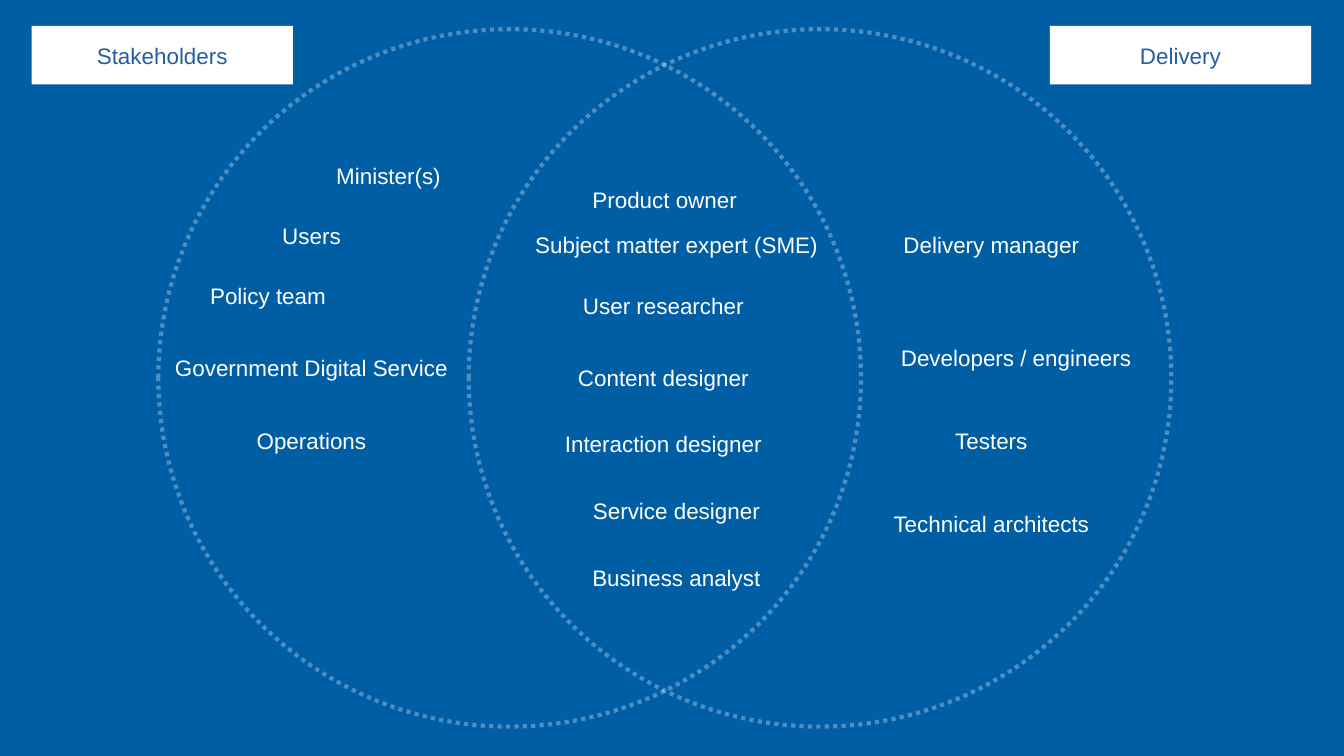
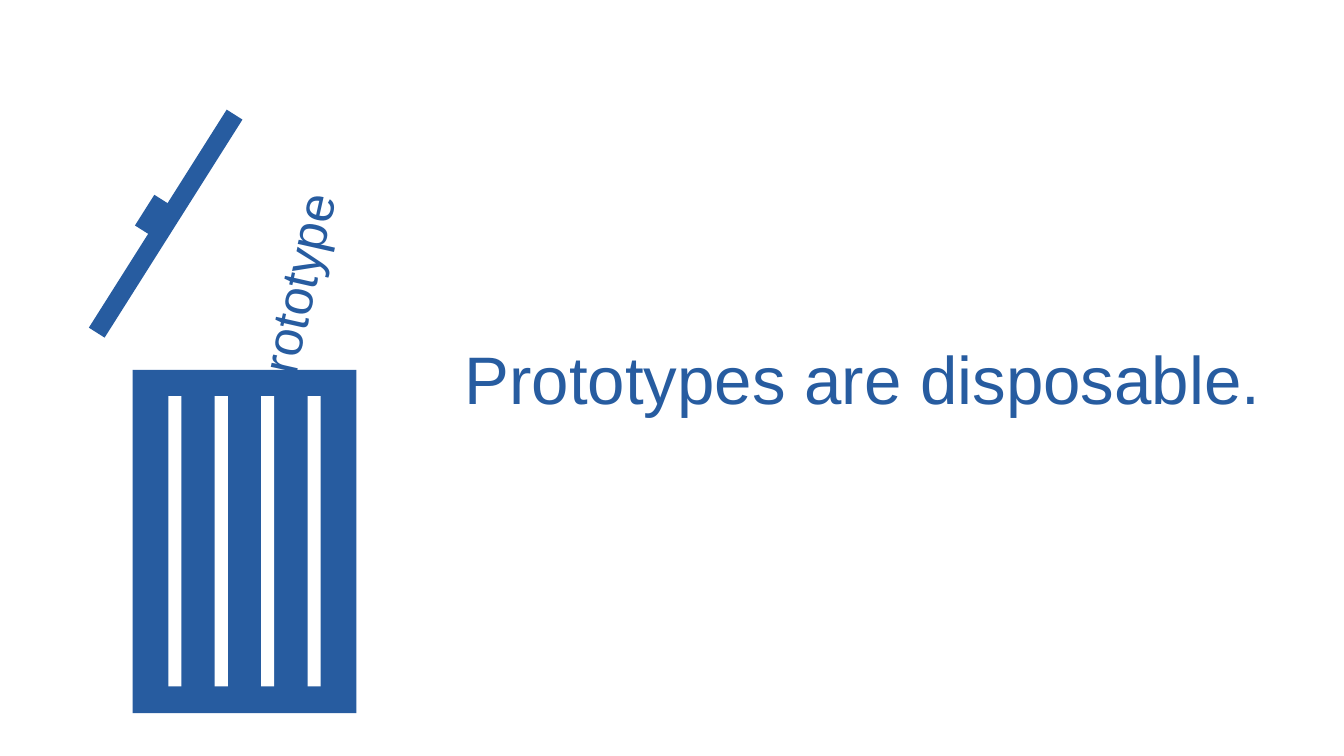
from lxml.etree import SubElement
from pptx import Presentation
from pptx.dml.color import RGBColor
from pptx.enum.dml import MSO_LINE
from pptx.enum.shapes import MSO_SHAPE
from pptx.enum.text import MSO_ANCHOR, PP_ALIGN
from pptx.oxml.ns import qn
from pptx.util import Cm, Pt

WHITE = "FFFFFF"
BACKDROP_BLUE = "005EA5"
TAG_BLUE = "275DA0"
INK_BLUE = "275CA0"
FONT = "Arial"
LABEL_SIZE = 32
LABEL_WIDTH, LABEL_HEIGHT = 13.16, 2.95
TITLE_WIDTH, TITLE_HEIGHT = 57.86, 30.33
LID_ANGLE = 302.3

STAKEHOLDERS = [
    ("Minister(s)", 13, 7.37, LABEL_WIDTH),
    ("Users", 9.12, 10.39, LABEL_WIDTH),
    ("Policy team", 6.93, 13.44, LABEL_WIDTH),
    ("Government Digital Service", 6.93, 17.07, 17.53),
    ("Operations", 6.93, 20.73, 17.53),
]
SHARED_ROLES = [
    ("Product owner", 26.92, 8.59, LABEL_WIDTH),
    ("Subject matter expert (SME)", 25.63, 10.85, 16.94),
    ("User researcher", 26.85, 13.94, LABEL_WIDTH),
    ("Content designer", 26.85, 17.53, LABEL_WIDTH),
    ("Interaction designer", 26.85, 20.88, LABEL_WIDTH),
    ("Service designer", 27.51, 24.26, LABEL_WIDTH),
    ("Business analyst", 27.51, 27.61, LABEL_WIDTH),
]
DELIVERY_ROLES = [
    ("Delivery manager", 43.38, 10.85, LABEL_WIDTH),
    ("Developers / engineers", 44.63, 16.54, LABEL_WIDTH),
    ("Testers", 43.38, 20.73, LABEL_WIDTH),
    ("Technical architects", 43.38, 24.89, LABEL_WIDTH),
]


def color(value):
    return RGBColor.from_string(value)


class SlideBuilder:
    def __init__(self, deck):
        self.deck = deck
        self.page = None

    def new_page(self, background):
        self.page = self.deck.slides.add_slide(self.deck.slide_layouts[6])
        fill = self.page.background.fill
        fill.solid()
        fill.fore_color.rgb = color(background)

    def set_text(self, shape, text, size, ink, align):
        frame = shape.text_frame
        frame.word_wrap = True
        frame.vertical_anchor = MSO_ANCHOR.MIDDLE
        frame.margin_left = frame.margin_right = Cm(0.15)
        frame.margin_top = frame.margin_bottom = Cm(0.15)
        para = frame.paragraphs[0]
        para.text = text
        para.alignment = align
        para.font.name = FONT
        para.font.size = Pt(size)
        para.font.color.rgb = color(ink)

    def text_box(self, text, left, top, width, height, size, ink, align, angle=0):
        box = self.page.shapes.add_textbox(Cm(left), Cm(top), Cm(width), Cm(height))
        box.rotation = angle
        self.set_text(box, text, size, ink, align)

    def label(self, text, left, top, width):
        self.text_box(text, left, top, width, LABEL_HEIGHT, LABEL_SIZE, WHITE, PP_ALIGN.CENTER)

    def title(self, text, left, top, size, angle=0):
        self.text_box(text, left, top, TITLE_WIDTH, TITLE_HEIGHT, size, INK_BLUE, PP_ALIGN.LEFT, angle)

    def block(self, left, top, width, height, fill, angle=0):
        shape = self.page.shapes.add_shape(
            MSO_SHAPE.RECTANGLE, Cm(left), Cm(top), Cm(width), Cm(height))
        shape.shadow.inherit = False
        shape.fill.solid()
        shape.fill.fore_color.rgb = color(fill)
        shape.line.fill.background()
        shape.rotation = angle
        return shape

    def tag(self, text, left):
        shape = self.block(left, 1.3, LABEL_WIDTH, LABEL_HEIGHT, WHITE)
        self.set_text(shape, text, LABEL_SIZE, TAG_BLUE, PP_ALIGN.CENTER)

    def dotted_circle(self, left):
        circle = self.page.shapes.add_shape(
            MSO_SHAPE.OVAL, Cm(left), Cm(1.47), Cm(35.41), Cm(35.15))
        circle.shadow.inherit = False
        circle.fill.background()
        circle.line.width = Pt(6)
        circle.line.color.rgb = color(WHITE)
        circle.line.dash_style = MSO_LINE.ROUND_DOT
        for stroke in circle.element.spPr.iter(qn("a:srgbClr")):
            SubElement(stroke, qn("a:alpha")).set("val", "30000")


def build_team_overlap(builder):
    builder.new_page(BACKDROP_BLUE)
    for left in (7.98, 23.62):
        builder.dotted_circle(left)
    builder.tag("Stakeholders", 1.6)
    builder.tag("Delivery", 52.91)
    for role in STAKEHOLDERS + SHARED_ROLES + DELIVERY_ROLES:
        builder.label(*role)


def build_prototype_bin(builder):
    builder.new_page(WHITE)
    builder.title("Prototype", -9.09, -22.86, 72, 282.6)
    builder.block(6.68, 18.64, 11.28, 17.3, INK_BLUE)
    for slot in range(4):
        builder.block(8.48 + 2.34 * slot, 19.96, 0.66, 14.63, WHITE)
    builder.block(1.85, 10.8, 13, 0.94, INK_BLUE, LID_ANGLE)
    builder.block(7.01, 10.24, 1.83, 1.5, INK_BLUE, LID_ANGLE)
    builder.title("Prototypes are disposable.", 23.27, 3.89, 96)


def main():
    deck = Presentation()
    deck.slide_width = Cm(67.73)
    deck.slide_height = Cm(38.1)
    builder = SlideBuilder(deck)
    build_team_overlap(builder)
    build_prototype_bin(builder)
    deck.save("out.pptx")


if __name__ == "__main__":
    main()
